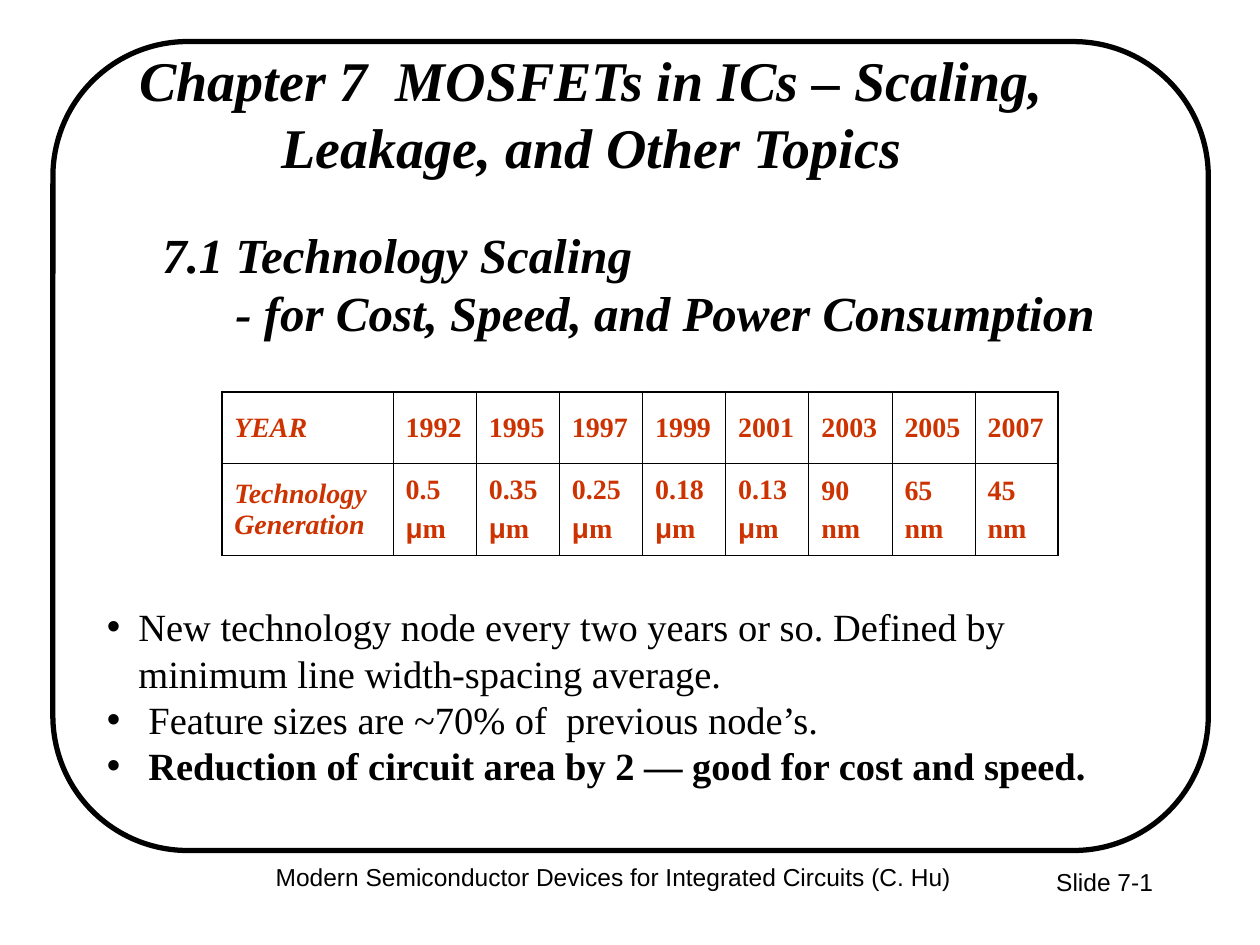
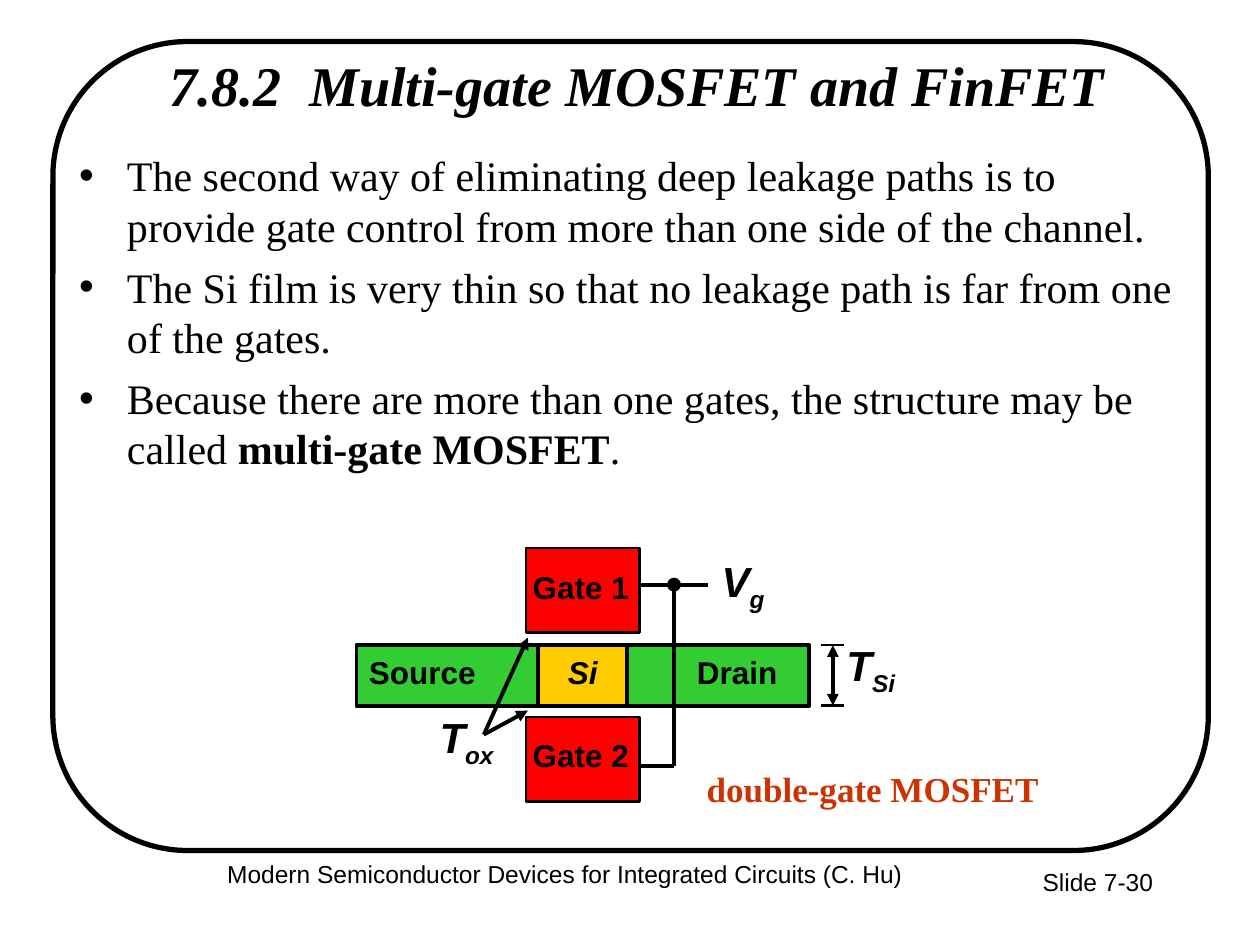
from dataclasses import dataclass

from lxml import etree
from pptx import Presentation
from pptx.dml.color import RGBColor
from pptx.enum.shapes import MSO_CONNECTOR, MSO_SHAPE
from pptx.enum.text import MSO_ANCHOR, MSO_AUTO_SIZE, PP_ALIGN
from pptx.oxml.ns import qn
from pptx.util import Inches, Pt

LEFT, CENTER, RIGHT = PP_ALIGN.LEFT, PP_ALIGN.CENTER, PP_ALIGN.RIGHT
TOP, MIDDLE = MSO_ANCHOR.TOP, MSO_ANCHOR.MIDDLE
NO_FIT = MSO_AUTO_SIZE.NONE
STRAIGHT = MSO_CONNECTOR.STRAIGHT
FRAME, RECT, DOT = MSO_SHAPE.FLOWCHART_ALTERNATE_PROCESS, MSO_SHAPE.RECTANGLE, MSO_SHAPE.OVAL


@dataclass(frozen=True)
class Theme:
    black: str = "000000"
    accent: str = "CC3300"
    gate: str = "FF0000"
    doped: str = "33CC33"
    silicon: str = "FFCC00"
    serif: str = "Times New Roman"
    sans: str = "Arial"
    title: int = 32
    section: int = 28
    body: int = 24
    points: int = 22
    caption: int = 20
    label: int = 18
    cell: int = 16
    footer: int = 14


T = Theme()
FOOTER = "Modern Semiconductor Devices for Integrated Circuits (C. Hu)"


def style(p, size, font=T.serif, color=T.black, bold=False, italic=False):
    for r in p.runs:
        r.font.size, r.font.name = Pt(size), font
        r.font.bold, r.font.italic = bold, italic
        r.font.color.rgb = RGBColor.from_string(color)


def set_lines(tf, lines):
    tf.text = lines[0]
    for line in lines[1:]:
        tf.add_paragraph().text = line
    return tf.paragraphs


def add_text(s, box, lines, size, align=LEFT, **look):
    tf = s.shapes.add_textbox(*map(Inches, box)).text_frame
    tf.word_wrap = True
    for p in set_lines(tf, lines):
        p.alignment = align
        style(p, size, **look)
    return tf


def set_bullet(p, margin, hang):
    pPr = p._p.get_or_add_pPr()
    pPr.set("marL", str(Inches(margin)))
    pPr.set("indent", str(-Inches(hang)))
    if hang:
        etree.SubElement(pPr, qn("a:buFont")).set("typeface", T.sans)
        etree.SubElement(pPr, qn("a:buChar")).set("char", "•")


def add_shape(s, kind, box, fill, weight):
    sp = s.shapes.add_shape(kind, *map(Inches, box))
    sp.shadow.inherit = False
    if fill:
        sp.fill.solid()
        sp.fill.fore_color.rgb = RGBColor.from_string(fill)
    else:
        sp.fill.background()
    sp.line.color.rgb = RGBColor.from_string(T.black)
    sp.line.width = Pt(weight)
    return sp


def add_region(s, box, fill, weight, text, align=CENTER, right=0.0, italic=False):
    tf = add_shape(s, RECT, box, fill, weight).text_frame
    tf.text, tf.word_wrap, tf.vertical_anchor = text, False, MIDDLE
    tf.margin_left = Inches(0.1 if align == LEFT else 0)
    tf.margin_right, tf.margin_top, tf.margin_bottom = Inches(right), 0, Inches(0.06)
    tf.paragraphs[0].alignment = align
    style(tf.paragraphs[0], T.label, T.sans, bold=True, italic=italic)


def add_line(s, start, end, weight=2.25, arrows=()):
    c = s.shapes.add_connector(STRAIGHT, *map(Inches, (*start, *end)))
    c.line.color.rgb = RGBColor.from_string(T.black)
    c.line.width = Pt(weight)
    ln = c.line._get_or_add_ln()
    for arrow in arrows:
        etree.SubElement(ln, qn(f"a:{arrow}")).set("type", "triangle")
    etree.SubElement(c._element.spPr, qn("a:effectLst"))


def add_symbol(s, x, y, letter, subscript):
    p = add_text(s, (x, y, 0.8, 0.56), [letter], T.body).paragraphs[0]
    r = p.add_run()
    r.text = subscript
    style(p, T.body, T.sans, bold=True, italic=True)
    r._r.get_or_add_rPr().set("baseline", "-25000")


def new_slide(prs, title_box, title, anchor, footer_box, number):
    s = prs.slides.add_slide(prs.slide_layouts[5])
    add_shape(s, FRAME, (0.42, 0.33, 9.17, 6.42), None, 3)
    add_text(s, footer_box, [FOOTER], T.footer, CENTER, font=T.sans)
    add_text(s, (7.17, 6.83, 2.08, 0.5), [f"Slide {number}"], T.footer, RIGHT, font=T.sans)
    sp = s.shapes.title
    sp.left, sp.top, sp.width, sp.height = map(Inches, title_box)
    tf = sp.text_frame
    tf.word_wrap, tf.auto_size, tf.vertical_anchor = True, NO_FIT, anchor
    for p in set_lines(tf, title):
        p.alignment, p.space_before = CENTER, Pt(0)
        style(p, T.title, bold=True, italic=True)
    return s


def set_borders(cell, weights):
    tcPr = cell._tc.get_or_add_tcPr()
    for side, weight in weights.items():
        ln = etree.SubElement(tcPr, qn(f"a:ln{side}"), w=str(Pt(weight)))
        fill = etree.SubElement(ln, qn("a:solidFill"))
        etree.SubElement(fill, qn("a:srgbClr")).set("val", T.black)


def add_node_table(s, box):
    rows = [
        ["YEAR", "1992", "1995", "1997", "1999", "2001", "2003", "2005", "2007"],
        ["Technology Generation", "0.5 μm", "0.35 μm", "0.25 μm", "0.18 μm", "0.13 μm",
         "90 nm", "65 nm", "45 nm"],
    ]
    count = len(rows[0])
    table = s.shapes.add_table(len(rows), count, *map(Inches, box)).table
    table.first_row = table.horz_banding = False
    first = 1.36
    for i, column in enumerate(table.columns):
        column.width = Inches((box[2] - first) / (count - 1) if i else first)
    for row, height in zip(table.rows, (0.57, 0.73)):
        row.height = Inches(height)
    for y, values in enumerate(rows):
        for x, value in enumerate(values):
            cell = table.cell(y, x)
            outer = {"L": x == 0, "R": x == count - 1, "T": y == 0, "B": y == len(rows) - 1}
            set_borders(cell, {k: 1.08 if edge else 0.45 for k, edge in outer.items()})
            cell.fill.background()
            cell.vertical_anchor = MIDDLE
            lines = value.split() if x else [value]
            for i, p in enumerate(set_lines(cell.text_frame, lines)):
                if i:
                    p.space_before = Pt(4)
                if p.text == "μm":
                    p.text = "μ"
                    p.add_run().text = "m"
                style(p, T.cell, color=T.accent, bold=True, italic=x == 0)
                if p.text == "μm":
                    p.runs[0].font.name = T.sans


def add_scaling_points(s, box):
    points = [
        "New technology node every two years or so. Defined by minimum line width-spacing average.",
        "Feature sizes are ~70% of  previous node’s.",
        "Reduction of circuit area by 2 ― good for cost and speed.",
    ]
    tf = add_text(s, box, points, T.points)
    for p, margin in zip(tf.paragraphs, (0.5, 0.58, 0.58)):
        set_bullet(p, margin, margin - 0.25)
    style(tf.paragraphs[-1], T.points, bold=True)


def scaling_slide(prs):
    s = new_slide(prs, (0.6, 0.31, 8.19, 1.17),
                  ["Chapter 7  MOSFETs in ICs – Scaling,", "Leakage, and Other Topics"],
                  TOP, (1.9, 6.79, 5.94, 0.54), "7-1")
    tf = add_text(s, (1.19, 1.73, 7.83, 1.03),
                  ["7.1 Technology Scaling", "- for Cost, Speed, and Power Consumption"],
                  T.section, bold=True, italic=True)
    set_bullet(tf.paragraphs[1], 0.58, 0)
    add_node_table(s, (1.76, 3.11, 6.64, 1.3))
    add_scaling_points(s, (0.5, 4.74, 8.52, 1.57))


def add_gate_points(s, box):
    points = [
        "The second way of eliminating deep leakage paths is to provide gate control "
        "from more than one side of the channel.",
        "The Si film is very thin so that no leakage path is far from one of the gates.",
        "Because there are more than one gates, the structure may be called ",
    ]
    tf = add_text(s, box, points, T.body)
    for i, p in enumerate(tf.paragraphs):
        set_bullet(p, 0.38, 0.38)
        if i:
            p.space_before = Pt(6)
    last = tf.paragraphs[-1]
    for text in ("multi-gate MOSFET", "."):
        last.add_run().text = text
    style(last, T.body)
    last.runs[1].font.bold = True


def add_double_gate(s, box):
    x, y, w, h = box
    film, thick, doped = y + 0.77, 0.48, 1.44
    gate_w, gate_h = 0.9, 0.67
    gate_x = x + (w - gate_w) / 2
    gate_right, wire = gate_x + gate_w, x + 2.52
    top_wire, low_wire = y + 0.29, y + 1.73

    add_region(s, (x, film, w, thick), T.silicon, 2.25, "Si", italic=True)
    add_region(s, (x + w - doped, film, doped, thick), T.doped, 2.25, "Drain", RIGHT, 0.25)
    add_region(s, (x, film, doped, thick), T.doped, 2.25, "Source", LEFT)
    for name, gate_y in (("Gate 1", y), ("Gate 2", y + h - gate_h)):
        add_region(s, (gate_x, gate_y, gate_w, gate_h), T.gate, 1.5, name, right=0.03)

    add_line(s, (gate_right, top_wire), (x + 2.79, top_wire))
    add_line(s, (gate_right, low_wire), (wire, low_wire))
    add_line(s, (wire, low_wire), (wire, top_wire))
    add_shape(s, DOT, (wire - 0.05, top_wire - 0.05, 0.1, 0.1), T.black, 0.75)
    add_symbol(s, x + 2.8, y + 0.01, "V", "g")

    for oxide_y in (y + 0.71, y + 1.29):
        add_line(s, (x + 1.01, y + 1.48), (x + 1.36, oxide_y), arrows=["tailEnd"])
    add_symbol(s, x + 0.56, y + 1.25, "T", "ox")

    gauge = x + w + 0.19
    add_line(s, (gauge, film), (gauge, film + thick), arrows=["headEnd", "tailEnd"])
    for edge in (film, film + thick):
        add_line(s, (gauge - 0.09, edge), (gauge + 0.09, edge), 1.5)
    add_symbol(s, gauge + 0.01, y + 0.68, "T", "Si")
    add_text(s, (x + 2.68, y + 1.69, 3.2, 0.44), ["double-gate MOSFET"], T.caption,
             color=T.accent, bold=True)


def multigate_slide(prs):
    s = new_slide(prs, (1.01, 0.35, 8.1, 0.63), ["7.8.2  Multi-gate MOSFET and FinFET"],
                  MIDDLE, (1.63, 6.77, 5.71, 0.56), "7-30")
    add_gate_points(s, (0.53, 1.14, 8.94, 3.19))
    add_double_gate(s, (2.83, 4.35, 3.59, 2.01))


def main():
    prs = Presentation()
    prs.slide_width, prs.slide_height = Inches(10), Inches(7.5)
    scaling_slide(prs)
    multigate_slide(prs)
    prs.save("out.pptx")


if __name__ == "__main__":
    main()
